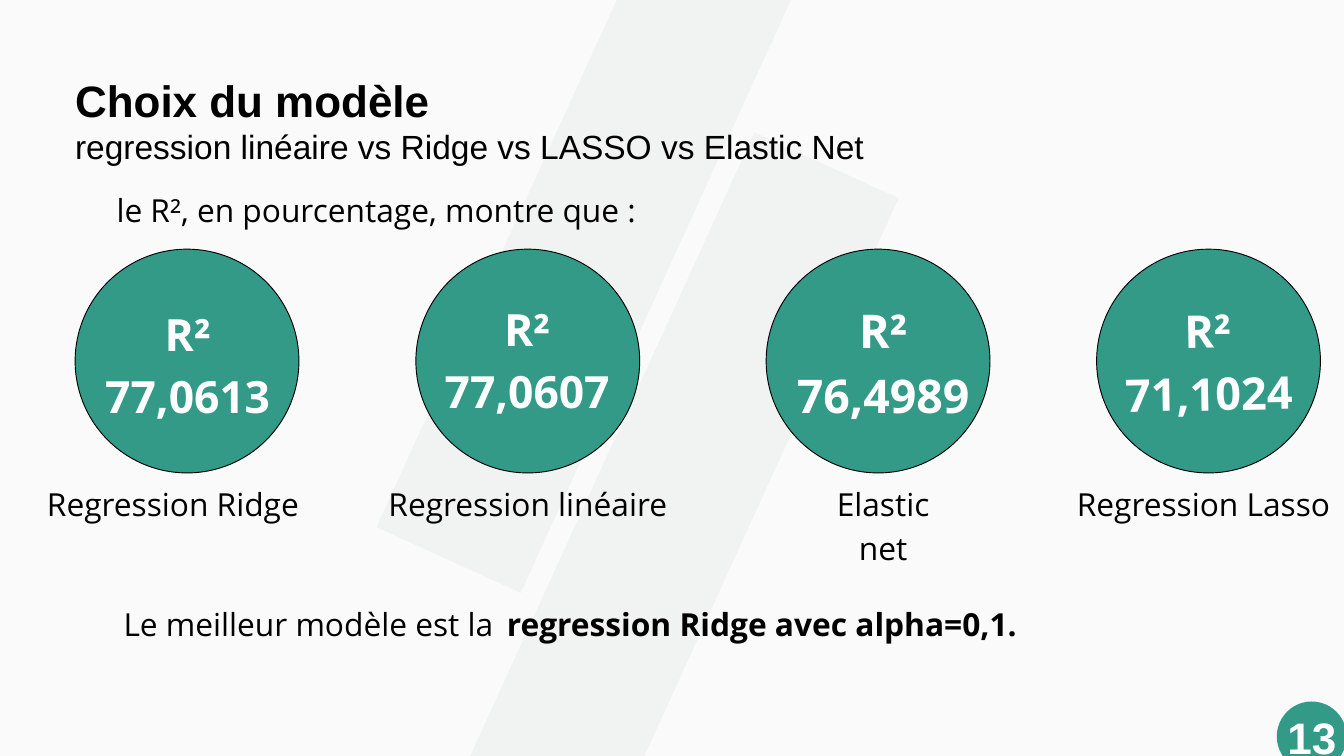
import pptx
import pptx.dml.color
import pptx.enum.shapes
import pptx.enum.text
import pptx.oxml.ns
import pptx.util
from lxml import etree

Cm = pptx.util.Cm
Pt = pptx.util.Pt
SHAPE = pptx.enum.shapes.MSO_SHAPE
ALIGN = pptx.enum.text.PP_ALIGN

COLORS = {
    "background": "FAFAFA",
    "band": "D5DADA",
    "green": "329A87",
    "black": "000000",
    "white": "FFFFFF",
}
HEADING_FONT = "Arial"
BODY_FONT = "Open Sans"
BODY_SIZE = 34
LINE_FACTOR = 1.4
CIRCLE_TOP = 9.42
CIRCLE_SIZE = 8.46
LABEL_TOP = 18.08
CONCLUSION_TOP = 22.63

# Left and width of the bands, then top and height.
BANDS = [(20.68, -9.78, 5.99, 32.41), (21.79, 4.85, 5.99, 31.14)]

# Circle left, score, score box, score size, rotation, label, label left and width.
MODELS = [
    (2.84, "77,0613", (2.44, 11.28, 9.32, 4.57), 47.6, 0, "Regression Ridge", 1.75, 9.58),
    (15.72, "77,0607", (15.27, 11.07, 9.32, 4.57), 47.6, 0, "Regression linéaire", 14.66, 10.59),
    (28.96, "76,4989", (28.52, 11.07, 9.73, 4.78), 49.8, 0, "Elastic net", 30.56, 5.64),
    (41.45, "71,1024", (40.94, 11.1, 9.45, 4.6), 48.3, 359, "Regression Lasso", 40.69, 9.6),
]


def rgb(name):
    return pptx.dml.color.RGBColor.from_string(COLORS[name])


def add_filled_shape(slide, kind, box, color, rotation=0, outlined=False):
    shape = slide.shapes.add_shape(kind, *map(Cm, box))
    shape.shadow.inherit = False
    shape.rotation = rotation
    shape.fill.solid()
    shape.fill.fore_color.rgb = rgb(color)
    if outlined:
        shape.line.color.rgb = rgb("black")
        shape.line.width = Pt(1)
    else:
        shape.line.fill.background()
    return shape


def add_band(slide, box):
    """Add a slanted, mostly transparent background band."""
    band = add_filled_shape(slide, SHAPE.RECTANGLE, box, "band", 24.5)
    color = band.fill._xPr.find(".//" + pptx.oxml.ns.qn("a:srgbClr"))
    etree.SubElement(color, pptx.oxml.ns.qn("a:alpha"), val="24000")


def add_text(slide, box, text, size=BODY_SIZE, font=BODY_FONT, color="black",
             bold=False, align=ALIGN.LEFT, rotation=0):
    text_box = slide.shapes.add_textbox(*map(Cm, box))
    text_box.rotation = rotation
    frame = text_box.text_frame
    frame.word_wrap = True
    frame.margin_left = frame.margin_right = 0
    frame.margin_top = frame.margin_bottom = 0
    frame.text = text
    for paragraph in frame.paragraphs:
        paragraph.alignment = align
        paragraph.line_spacing = Pt(round(size * LINE_FACTOR, 1))
        for run in paragraph.runs:
            run.font.name = font
            run.font.size = Pt(size)
            run.font.bold = bold
            run.font.color.rgb = rgb(color)


def add_model(slide, left, score, score_box, size, rotation, label, label_left, label_width):
    """Add a circle with its R² score and the model name below."""
    circle_box = (left, CIRCLE_TOP, CIRCLE_SIZE, CIRCLE_SIZE)
    add_filled_shape(slide, SHAPE.OVAL, circle_box, "green", rotation, outlined=True)
    add_text(slide, score_box, "R²\n" + score, size, color="white", bold=True,
             align=ALIGN.CENTER, rotation=rotation)
    add_text(slide, (label_left, LABEL_TOP, label_width, 1.6), label, align=ALIGN.CENTER)


def add_page_number(slide, number):
    add_filled_shape(slide, SHAPE.OVAL, (48.26, 26.52, 2.64, 2.64), "green")
    add_text(slide, (48.44, 26.52, 2.29, 2.31), number, 47.2, HEADING_FONT, "white",
             bold=True, align=ALIGN.CENTER)


def main():
    presentation = pptx.Presentation()
    presentation.slide_width = Cm(50.8)
    presentation.slide_height = Cm(28.58)
    slide = presentation.slides.add_slide(presentation.slide_layouts[6])
    slide.background.fill.solid()
    slide.background.fill.fore_color.rgb = rgb("background")

    for box in BANDS:
        add_band(slide, box)
    add_text(slide, (2.84, 2.46, 21.03, 2.39), "Choix du modèle", 47.1, HEADING_FONT, bold=True)
    add_text(slide, (2.84, 4.5, 34.19, 1.8),
             "regression linéaire vs Ridge vs LASSO vs Elastic Net", 35.9, HEADING_FONT)
    add_text(slide, (4.37, 6.96, 19.71, 1.6), "le R², en pourcentage, montre que :",
             align=ALIGN.CENTER)
    for model in MODELS:
        add_model(slide, *model)
    add_text(slide, (4.67, CONCLUSION_TOP, 14.33, 1.6), "Le meilleur modèle est la")
    add_text(slide, (19.16, CONCLUSION_TOP, 23.13, 1.6),
             "regression Ridge avec alpha=0,1.", bold=True)
    add_page_number(slide, "13")
    presentation.save("out.pptx")


if __name__ == "__main__":
    main()
